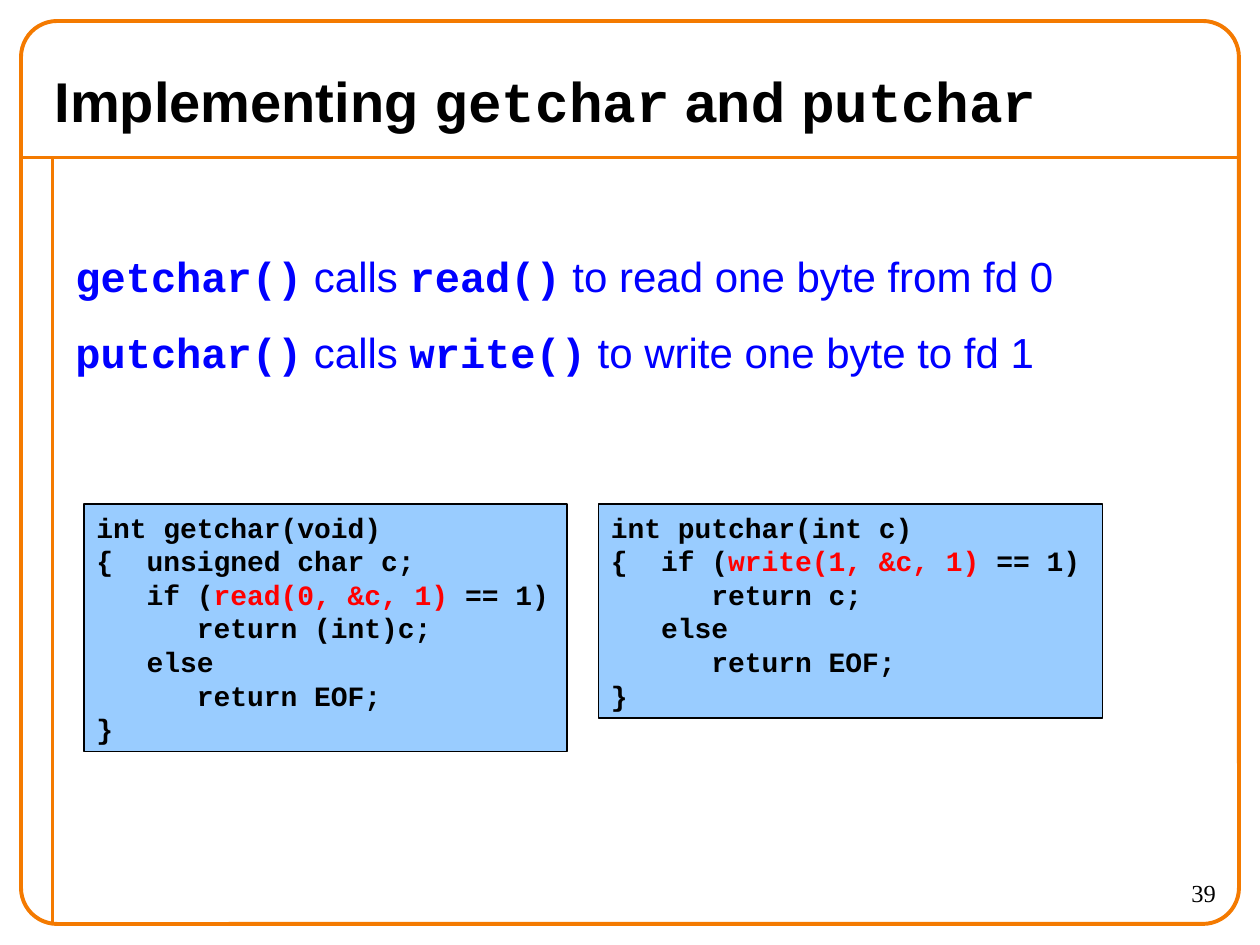
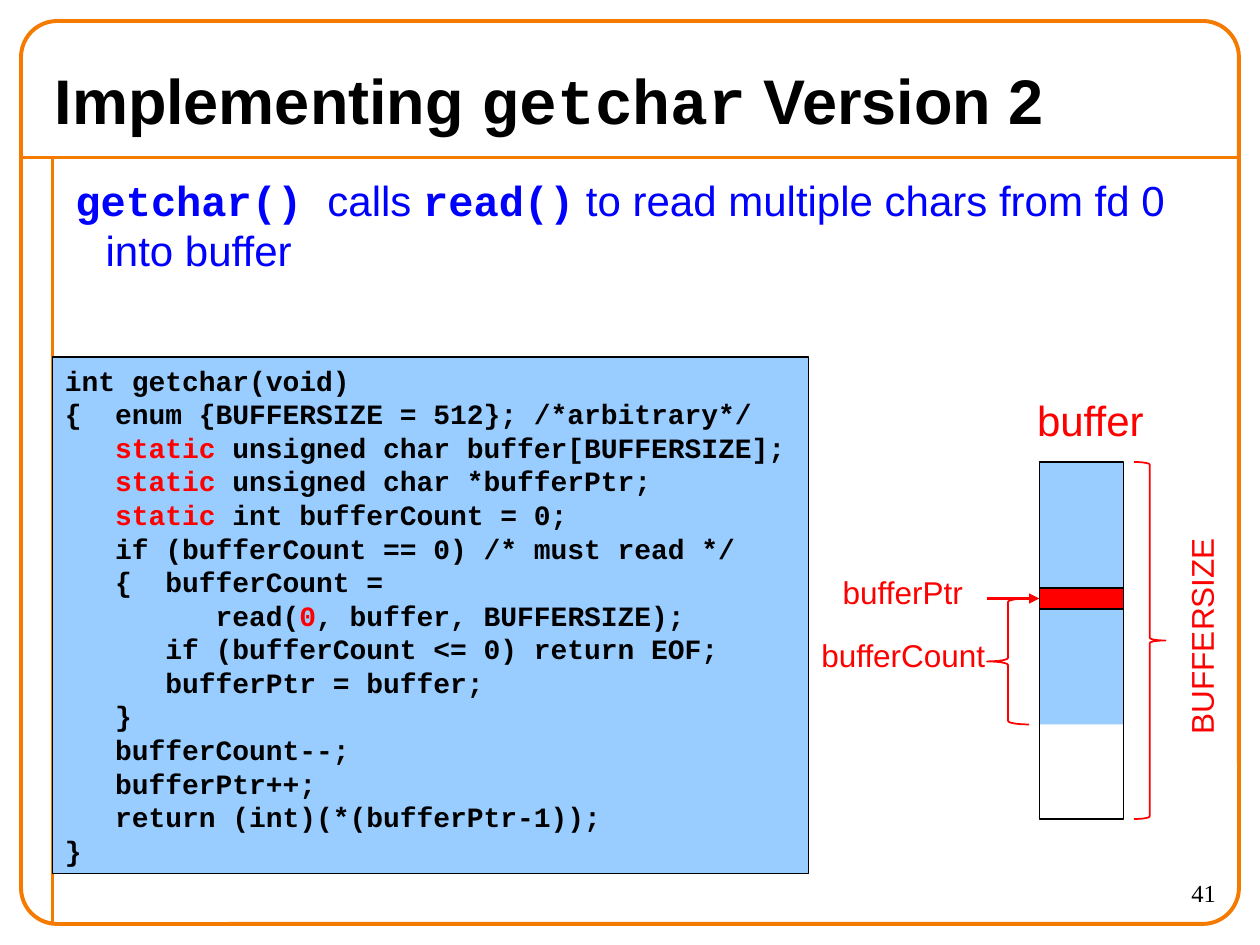
import pptx
import pptx.dml.color
import pptx.enum.shapes
import pptx.enum.text
import pptx.oxml.ns
import pptx.util
from lxml import etree

Pt = pptx.util.Pt
RGBColor = pptx.dml.color.RGBColor
SHAPE = pptx.enum.shapes.MSO_SHAPE
ANCHOR = pptx.enum.text.MSO_ANCHOR
ALIGN = pptx.enum.text.PP_ALIGN
qn = pptx.oxml.ns.qn

ORANGE = RGBColor(0xF4, 0x7A, 0x00)
SKY = RGBColor(0x99, 0xCC, 0xFF)
BLUE = RGBColor(0x00, 0x00, 0xFF)
RED = RGBColor(0xFF, 0x00, 0x00)
BLACK = RGBColor(0x00, 0x00, 0x00)

SANS, MONO, SERIF = "Arial", "Courier New", "Times New Roman"
LINE_FACTOR = 1.2
MARK = "~"

BODY = {"name": SANS, "size": Pt(24), "bold": False, "rgb": BLUE}
BODY_CODE = {**BODY, "name": MONO, "bold": True}
CODE = {"name": MONO, "size": Pt(16), "bold": True, "rgb": BLACK}
CODE_ACCENT = {**CODE, "rgb": RED}
NUMBER = {"name": SERIF, "size": Pt(14), "bold": False, "rgb": BLACK}
FRAME_INSETS = {
    "margin_left": Pt(7.2), "margin_right": Pt(7.2),
    "margin_top": Pt(3.6), "margin_bottom": Pt(3.6),
    "auto_size": pptx.enum.text.MSO_AUTO_SIZE.NONE,
}

GETCHAR = """int getchar(void)
{  unsigned char c;
   if (~read(0, &c, 1)~ == 1)
      return (int)c;
   else
      return EOF;
}"""

PUTCHAR = """int putchar(int c)
{  if (~write(1, &c, 1)~ == 1)
      return c;
   else
      return EOF;
}"""

BUFFERED_GETCHAR = """int getchar(void)
{  enum {BUFFERSIZE = 512}; /*arbitrary*/
   ~static ~unsigned char buffer[BUFFERSIZE];
   ~static ~unsigned char *bufferPtr;
   ~static ~int bufferCount = 0;
   if (bufferCount == 0) /* must read */
   {  bufferCount =
         read(~0~, buffer, BUFFERSIZE);
      if (bufferCount <= 0) return EOF;
      bufferPtr = buffer;
   }
   bufferCount--;
   bufferPtr++;
   return (int)(*(bufferPtr-1));
}"""


def set_attributes(target, values):
    for name, value in values.items():
        setattr(target, name, value)


def set_font(font, values):
    for name, value in values.items():
        if name == "rgb":
            font.color.rgb = value
        else:
            setattr(font, name, value)


def write_lines(text_frame, lines, plain, marked, **paragraph_format):
    for index, line in enumerate(lines):
        paragraph = text_frame.add_paragraph() if index else text_frame.paragraphs[0]
        set_attributes(paragraph, {
            "alignment": ALIGN.LEFT,
            "line_spacing": Pt(plain["size"].pt * LINE_FACTOR),
            **paragraph_format,
        })
        if index == 0:
            paragraph.space_before = Pt(0)
        for position, piece in enumerate(line.split(MARK)):
            if piece:
                run = paragraph.add_run()
                run.text = piece
                set_font(run.font, marked if position % 2 else plain)


def add_line(slide, start, end, color, width, arrow=False):
    connector = slide.shapes.add_connector(
        pptx.enum.shapes.MSO_CONNECTOR.STRAIGHT, *map(Pt, start + end))
    connector.line.color.rgb = color
    connector.line.width = Pt(width)
    properties = connector.element.spPr
    if arrow:
        tail = etree.SubElement(properties.find(qn("a:ln")), qn("a:tailEnd"))
        tail.set("type", "triangle")
    etree.SubElement(properties, qn("a:effectLst"))
    return connector


def add_outline(slide, kind, box, fill=None, line=None, width=0.75):
    shape = slide.shapes.add_shape(kind, *map(Pt, box))
    shape.shadow.inherit = False
    if fill is None:
        shape.fill.background()
    else:
        shape.fill.solid()
        shape.fill.fore_color.rgb = fill
    if line is None:
        shape.line.fill.background()
    else:
        shape.line.color.rgb = line
        shape.line.width = Pt(width)
    return shape


def add_text(slide, box, lines, plain, marked=None, wrap=True, **paragraph_format):
    text_box = slide.shapes.add_textbox(*map(Pt, box))
    set_attributes(text_box.text_frame, {**FRAME_INSETS, "word_wrap": wrap})
    write_lines(text_box.text_frame, lines, plain, marked, **paragraph_format)
    return text_box


def add_label(slide, box, text, size, rotation=0):
    values = {"name": SANS, "size": Pt(size), "bold": False, "rgb": RED}
    add_text(slide, box, [text], values, wrap=False).rotation = rotation


def add_code(slide, left, top, width, source):
    lines = source.split("\n")
    height = len(lines) * CODE["size"].pt * LINE_FACTOR + 7.2
    box = add_outline(slide, SHAPE.RECTANGLE, (left, top, width, height), SKY, BLACK)
    set_attributes(box.text_frame, {
        **FRAME_INSETS, "word_wrap": True, "vertical_anchor": ANCHOR.TOP})
    write_lines(box.text_frame, lines, CODE, CODE_ACCENT)


def add_body(slide, top, lines):
    body = add_text(slide, (36, top, 666, 528 - top), lines, BODY, BODY_CODE,
                    space_before=Pt(15))
    for paragraph in body.text_frame.paragraphs:
        properties = paragraph._p.get_or_add_pPr()
        properties.set("marL", str(int(Pt(17.28))))
        properties.set("indent", str(int(Pt(-17.28))))


def add_frame(layout, slide):
    border = add_outline(slide, SHAPE.ROUNDED_RECTANGLE, (12, 12, 696, 516),
                         line=ORANGE, width=2.25)
    border.adjustments[0] = 0.04
    parts = [
        add_line(slide, (12, 90), (708, 90), ORANGE, 2.25),
        add_line(slide, (30, 90), (30, 528), ORANGE, 2.25),
        border,
    ]
    for identifier, part in enumerate(parts, start=20):
        part.element.xpath(".//p:cNvPr")[0].set("id", str(identifier))
        layout.shapes.element.append(part.element)


def start_slide(presentation, title, title_size, number):
    layout = presentation.slide_layouts[5]
    slide = presentation.slides.add_slide(layout)
    if len(presentation.slides) == 1:
        add_frame(layout, slide)
    set_attributes(slide.shapes.title, {
        "left": Pt(24), "top": Pt(30), "width": Pt(672), "height": Pt(54)})
    frame = slide.shapes.title.text_frame
    set_attributes(frame, {
        **FRAME_INSETS, "word_wrap": True, "vertical_anchor": ANCHOR.MIDDLE})
    plain = {"name": SANS, "size": Pt(title_size), "bold": True, "rgb": BLACK}
    write_lines(frame, [title], plain, {**plain, "name": MONO})
    add_text(slide, (630, 498, 72, 30), [number], NUMBER, alignment=ALIGN.RIGHT)
    return slide


def add_buffer_diagram(slide):
    left, top, width, height = 594, 264, 48, 204
    pointer_y, filled = 342, 150
    add_outline(slide, SHAPE.RECTANGLE, (left, top, width, filled), SKY)
    add_outline(slide, SHAPE.RECTANGLE, (left, top, width, height), line=BLACK)
    add_label(slide, (585.5, 222, 75.6, 36), "buffer", 24)
    add_line(slide, (564, pointer_y), (left, pointer_y), RED, 1.75, arrow=True)
    add_label(slide, (474.5, 324, 83.5, 28.8), "bufferPtr", 18)
    add_outline(slide, SHAPE.RECTANGLE, (left, pointer_y - 6, width, 12), RED, BLACK)
    add_label(slide, (462.25, 360, 108, 28.8), "bufferCount", 18)
    add_outline(slide, SHAPE.LEFT_BRACE,
                (564, pointer_y, 24, top + filled - pointer_y), line=RED, width=1)
    add_outline(slide, SHAPE.RIGHT_BRACE, (648, top, 18, height), line=RED, width=1)
    add_label(slide, (623.5, 349.2, 126, 28.8), "BUFFERSIZE", 18, rotation=270)


def main():
    presentation = pptx.Presentation()
    presentation.slide_width, presentation.slide_height = Pt(720), Pt(540)

    slide = start_slide(
        presentation, "Implementing ~getchar~ and ~putchar~", 32, "39")
    add_body(slide, 139.5, [
        "~getchar()~ calls ~read()~ to read one byte from fd 0",
        "~putchar()~ calls ~write()~ to write one byte to fd 1",
    ])
    add_code(slide, 48, 288, 276, GETCHAR)
    add_code(slide, 342, 288, 288, PUTCHAR)

    slide = start_slide(presentation, "Implementing ~getchar~ Version 2", 36, "41")
    add_body(slide, 96, [
        "~getchar() ~calls ~read()~ to read multiple chars from fd 0 into buffer"])
    add_code(slide, 30, 204, 432, BUFFERED_GETCHAR)
    add_buffer_diagram(slide)

    presentation.save("out.pptx")


if __name__ == "__main__":
    main()
